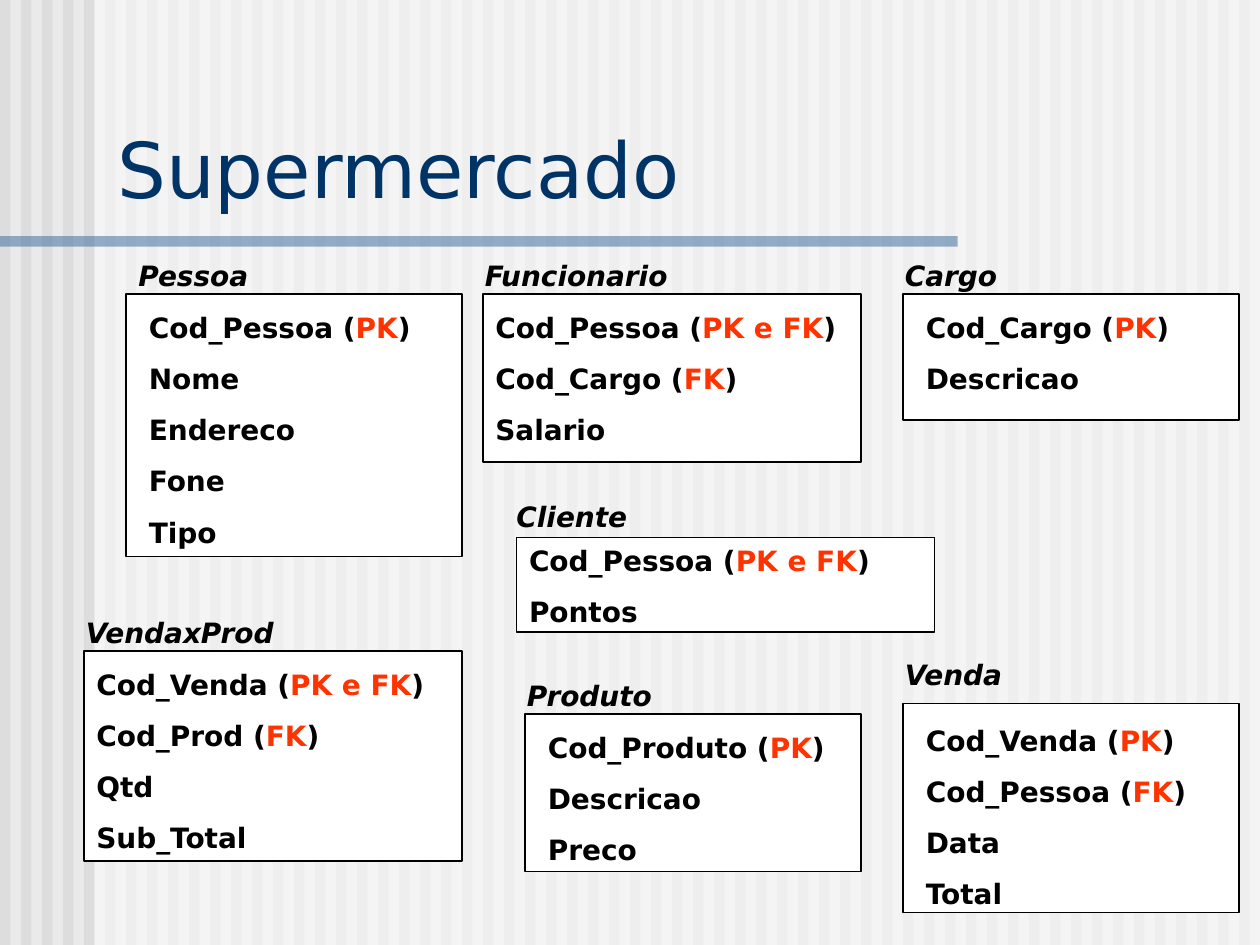
from dataclasses import dataclass

from lxml import etree
from pptx import Presentation
from pptx import util as u
from pptx.dml import color
from pptx.enum import shapes, text
from pptx.oxml import ns

COLUMNS, ROWS = 120, 90
CELL = u.Inches(10) // COLUMNS
BLANK_LAYOUT = 6


@dataclass(frozen=True)
class Theme:
    face: str = "DejaVu Sans"
    background: str = "EAEAEA"
    stripe: str = "DDDDDD"
    paper: str = "FFFFFF"
    rule: str = "336699"
    heading: str = "003366"
    ink: str = "000000"
    key: str = "FF3300"
    heading_size: int = 44
    body_size: int = 16
    field_gap: int = 10
    outline: float = 0.75


THEME = Theme()


@dataclass(frozen=True)
class Entity:
    """A database table: card area, label and field offsets, all in grid cells."""
    name: str
    area: tuple
    fields: tuple
    label_shift: tuple = (-1, -4)
    label_width: float = 48
    field_shift: tuple = (1, 1)
    field_width: float = 30


ENTITIES = (
    Entity("Pessoa", (12, 28, 32, 25),
           ("Cod_Pessoa (PK)", "Nome", "Endereco", "Fone", "Tipo"),
           label_shift=(0, -4)),
    Entity("Funcionario", (46, 28, 36, 16),
           ("Cod_Pessoa (PK e FK)", "Cod_Cargo (FK)", "Salario"),
           field_shift=(0, 1), field_width=42),
    Entity("VendaxProd", (8, 62, 36, 20),
           ("Cod_Venda (PK e FK)", "Cod_Prod (FK)", "Qtd", "Sub_Total"),
           field_shift=(0, 1), field_width=35),
    Entity("Cargo", (86, 28, 32, 12),
           ("Cod_Cargo (PK)", "Descricao"), label_width=33),
    Entity("Produto", (50, 68, 32, 15),
           ("Cod_Produto (PK)", "Descricao", "Preco"), label_width=21),
    Entity("Venda", (86, 67, 32, 19.9),
           ("Cod_Venda (PK)", "Cod_Pessoa (FK)", "Data", "Total"),
           label_shift=(-1, -5), label_width=24, field_shift=(1, 1.3)),
    Entity("Cliente", (49.2, 51.2, 39.8, 9),
           ("Cod_Pessoa (PK e FK)", "Pontos"),
           label_shift=(-1.2, -4.2), label_width=33.5,
           field_shift=(0, 0), field_width=37.3),
)


def rgb(value):
    return color.RGBColor.from_string(value)


def cells(*lengths):
    return [u.Emu(round(length * CELL)) for length in lengths]


def apply(target, formats):
    for attribute, value in formats.items():
        setattr(target, attribute, value)


def add_block(slide, area, fill, outline=None, opacity=None):
    block = slide.shapes.add_shape(shapes.MSO_SHAPE.RECTANGLE, *cells(*area))
    block.shadow.inherit = False
    block.fill.solid()
    block.fill.fore_color.rgb = rgb(fill)
    if opacity is not None:
        tint = block.fill._xPr.find(".//" + ns.qn("a:srgbClr"))
        etree.SubElement(tint, ns.qn("a:alpha"), val=str(opacity * 1000))
    if outline:
        block.line.color.rgb = rgb(outline)
        block.line.width = u.Pt(THEME.outline)
    else:
        block.line.fill.background()


def add_run(paragraph, words, ink, formats):
    run = paragraph.add_run()
    run.text = words
    apply(run.font, {"name": THEME.face, **formats})
    run.font.color.rgb = rgb(ink)


def add_lines(slide, area, lines, ink=THEME.ink, size=THEME.body_size,
              anchor=text.MSO_ANCHOR.TOP, **formats):
    """Write one paragraph per line; a key in brackets gets the key colour."""
    frame = slide.shapes.add_textbox(*cells(*area)).text_frame
    apply(frame, {"word_wrap": True, "vertical_anchor": anchor})
    formats["size"] = u.Pt(size)
    for index, line in enumerate(lines):
        paragraph = frame.add_paragraph() if index else frame.paragraphs[0]
        if index:
            paragraph.space_before = u.Pt(THEME.field_gap)
        name, bracket, key = line.partition("(")
        add_run(paragraph, name + bracket, ink, formats)
        if bracket:
            add_run(paragraph, key.rstrip(")"), THEME.key, formats)
            add_run(paragraph, ")", ink, formats)


def add_backdrop(slide):
    slide.background.fill.solid()
    slide.background.fill.fore_color.rgb = rgb(THEME.background)
    for column in range(0, COLUMNS, 2):
        add_block(slide, (column, 0, 1, ROWS), THEME.stripe)
    add_block(slide, (9, 0, COLUMNS - 9, ROWS), THEME.paper, opacity=50)
    add_block(slide, (0, 22.5, 91.2, 1), THEME.rule, opacity=50)


def add_entity(slide, entity):
    left, top, _, _ = entity.area
    (label_x, label_y), (field_x, field_y) = entity.label_shift, entity.field_shift
    add_block(slide, entity.area, THEME.paper, outline=THEME.ink)
    field_height = 1.2 + 3.7 * len(entity.fields) + 0.8 * (len(entity.fields) - 1)
    add_lines(slide, (left + field_x, top + field_y, entity.field_width, field_height),
              entity.fields, bold=True)
    add_lines(slide, (left + label_x, top + label_y, entity.label_width, 4.4),
              [entity.name], bold=True, italic=True)


def main():
    deck = Presentation()
    apply(deck, {"slide_width": CELL * COLUMNS, "slide_height": CELL * ROWS})
    slide = deck.slides.add_slide(deck.slide_layouts[BLANK_LAYOUT])
    add_backdrop(slide)
    add_lines(slide, (10, 10.9, 107, 10.1), ["Supermercado"], ink=THEME.heading,
              size=THEME.heading_size, anchor=text.MSO_ANCHOR.BOTTOM)
    for entity in ENTITIES:
        add_entity(slide, entity)
    deck.save("out.pptx")


if __name__ == "__main__":
    main()
